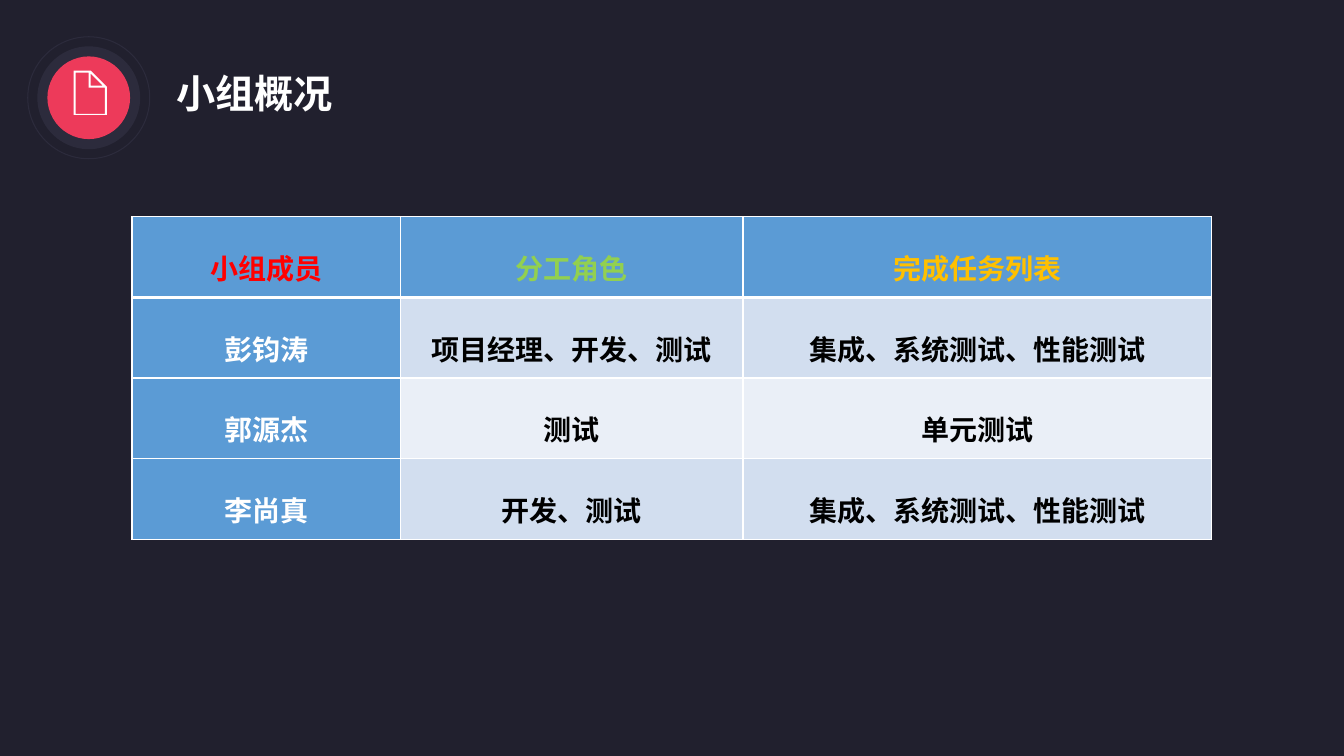
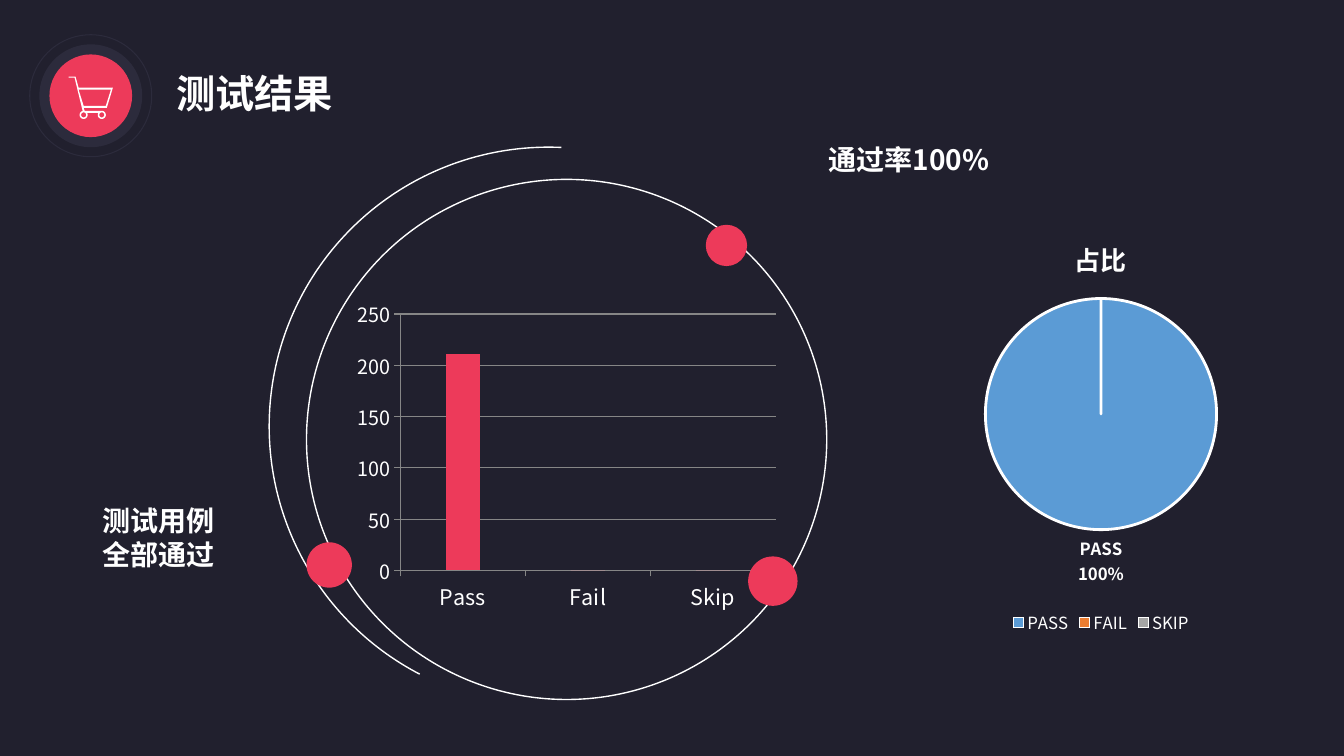
import math

import lxml.etree
import pptx
import pptx.chart.data
import pptx.dml.color
import pptx.enum.chart
import pptx.enum.shapes
import pptx.enum.text
import pptx.oxml
import pptx.oxml.ns
import pptx.util

Inches, Pt = pptx.util.Inches, pptx.util.Pt
qn = pptx.oxml.ns.qn
SHAPES = pptx.enum.shapes.MSO_SHAPE
ALIGN = pptx.enum.text.PP_ALIGN

# Shared look
FONT = "Noto Sans CJK SC"
NIGHT, SLATE, CORAL, WHITE = "21202E", "2C2B3C", "ED3A5A", "FFFFFF"
BLUE, GREY = "5B9BD5", "868686"
BANDS = ["D2DEEF", "EAEFF7"]
BADGE_RINGS = [(1.21, None, SLATE), (1.02, SLATE, None), (0.82, CORAL, None)]

# Content of the team slide
TEAM_TITLE = "小组概况"
TEAM_HEADERS = [("小组成员", "FF0000"), ("分工角色", "92D050"), ("完成任务列表", "FFC000")]
TEAM_ROWS = [
    ("彭钧涛", "项目经理、开发、测试", "集成、系统测试、性能测试"),
    ("郭源杰", "测试", "单元测试"),
    ("李尚真", "开发、测试", "集成、系统测试、性能测试"),
]
TEAM_WIDTHS = [2.66, 3.4, 4.65]
ROW_HEIGHT = 0.8

# Content of the results slide
RESULT_TITLE = "测试结果"
RESULT_NOTES = [("测试用例全部通过", 0.92, 4.95, 1.46, 0.77), ("通过率100%", 8.12, 1.36, 2.26, 0.44)]
CASE_COUNTS = {"Pass": 211, "Fail": 0, "Skip": 0}
SHARE_TITLE = "占比"
SHARES = [("PASS", 100, BLUE), ("FAIL", 0, "ED7D31"), ("SKIP", 0, "A5A5A5")]
ORBIT_DOTS = [(3.04, 5.38, 0.45), (7, 2.23, 0.41), (7.42, 5.52, 0.49)]


def colour(code):
    return pptx.dml.color.RGBColor.from_string(code)


def style_font(font, size, code=WHITE, bold=False):
    font.size, font.bold, font.name = Pt(size), bold, FONT
    font.color.rgb = colour(code)
    lxml.etree.SubElement(font._element, qn("a:ea")).set("typeface", FONT)


def write_text(frame, text, size=20, code=WHITE, bold=True, align=ALIGN.LEFT, spacing=None):
    frame.word_wrap = True
    para = frame.paragraphs[0]
    para.alignment, para.line_spacing = align, spacing
    span = para.add_run()
    span.text = text
    style_font(span.font, size, code, bold)


def add_text(page, text, left, top, width, height, **text_format):
    box = page.shapes.add_textbox(*map(Inches, (left, top, width, height)))
    write_text(box.text_frame, text, **text_format)


def paint(shape, fill=None, line=None, weight=1):
    shape.shadow.inherit = False
    if fill:
        shape.fill.solid()
        shape.fill.fore_color.rgb = colour(fill)
    else:
        shape.fill.background()
    if line:
        shape.line.color.rgb = colour(line)
        shape.line.width = Pt(weight)
    else:
        shape.line.fill.background()


def add_round(page, left, top, size, kind=SHAPES.OVAL, **look):
    shape = page.shapes.add_shape(kind, *map(Inches, (left, top, size, size)))
    paint(shape, **look)
    return shape


def add_icon(page, contours):
    """Draw closed outlines as one white shape; inner outlines are holes."""
    points = [[(Inches(x), Inches(y)) for x, y in contour] for contour in contours]
    builder = page.shapes.build_freeform(*points[0][0])
    for index, contour in enumerate(points):
        if index:
            builder.move_to(*contour[0])
        builder.add_line_segments(contour[1:], close=True)
    paint(builder.convert_to_shape(), fill=WHITE)


def arc_points(centre_x, centre_y, radius, start, end, steps=24):
    angles = [math.radians(start + (end - start) * i / steps) for i in range(steps + 1)]
    return [(centre_x + radius * math.cos(a), centre_y + radius * math.sin(a)) for a in angles]


def document_icon():
    return [
        [(1.06, 0.86), (0.9, 0.7), (0.73, 0.7), (0.73, 1.14), (1.06, 1.14)],
        [(0.9, 0.73), (1.02, 0.85), (0.9, 0.85)],
        [(0.75, 1.13), (0.75, 0.72), (0.88, 0.72), (0.88, 0.87), (1.04, 0.87), (1.04, 1.13)],
    ]


def cart_icon():
    left_wheel, right_wheel = (0.83, 1.14), (1.01, 1.14)
    frame = [(1.12, 0.87), (0.78, 0.87), (0.75, 0.76), (0.68, 0.76), (0.68, 0.77), (0.74, 0.77), (0.82, 1.1)]
    frame += arc_points(*left_wheel, 0.04, -100, -390)
    frame += arc_points(*right_wheel, 0.04, -150, -450)
    frame += [(0.84, 1.1), (0.83, 1.07), (1.06, 1.07)]
    basket = [(0.83, 1.05), (0.78, 0.89), (1.1, 0.89), (1.05, 1.05)]
    return [frame, basket] + [arc_points(*hub, 0.025, 0, 360) for hub in (left_wheel, right_wheel)]


def add_page(deck, title, badge_centre, icon):
    page = deck.slides.add_slide(deck.slide_layouts[6])
    page.background.fill.solid()
    page.background.fill.fore_color.rgb = colour(NIGHT)
    add_text(page, title, 1.65, 0.64, 2.3, 0.57, size=28)
    for size, fill, line in BADGE_RINGS:
        left, top = (middle - size / 2 for middle in badge_centre)
        add_round(page, left, top, size, fill=fill, line=line, weight=0.75)
    add_icon(page, icon)
    return page


def set_borders(cell, top=1, bottom=1):
    properties = cell._tc.get_or_add_tcPr()
    weights = {"a:lnL": 1, "a:lnR": 1, "a:lnT": top, "a:lnB": bottom}
    for index, (tag, weight) in enumerate(weights.items()):
        edge = lxml.etree.Element(qn(tag), w=str(Pt(weight)))
        fill = lxml.etree.SubElement(edge, qn("a:solidFill"))
        lxml.etree.SubElement(fill, qn("a:srgbClr"), val=WHITE)
        properties.insert(index, edge)


def add_team_table(page):
    rows = [[text for text, _ in TEAM_HEADERS], *TEAM_ROWS]
    size = (sum(TEAM_WIDTHS), ROW_HEIGHT * len(rows))
    table = page.shapes.add_table(len(rows), len(TEAM_WIDTHS), *map(Inches, (1.31, 2.15, *size))).table
    for column, width in zip(table.columns, TEAM_WIDTHS):
        column.width = Inches(width)
    for r, row in enumerate(rows):
        table.rows[r].height = Inches(ROW_HEIGHT)
        for c, text in enumerate(row):
            cell = table.cell(r, c)
            cell.margin_left = cell.margin_right = Inches(0.07)
            cell.margin_top = cell.margin_bottom = 0
            cell.vertical_anchor = pptx.enum.text.MSO_ANCHOR.MIDDLE
            cell.fill.solid()
            cell.fill.fore_color.rgb = colour(BLUE if r == 0 or c == 0 else BANDS[(r - 1) % 2])
            code = TEAM_HEADERS[c][1] if r == 0 else WHITE if c == 0 else "000000"
            write_text(cell.text_frame, text, code=code, align=ALIGN.CENTER, spacing=1.5)
            set_borders(cell, top=3 if r == 1 else 1, bottom=3 if r == 0 else 1)


def set_plot_layout(chart, x, y, w, h):
    area = chart._chartSpace.chart.plotArea
    for old in area.findall(qn("c:layout")):
        area.remove(old)
    layout = lxml.etree.Element(qn("c:layout"))
    manual = lxml.etree.SubElement(layout, qn("c:manualLayout"))
    settings = {"layoutTarget": "inner", "xMode": "edge", "yMode": "edge", "x": x, "y": y, "w": w, "h": h}
    for tag, value in settings.items():
        lxml.etree.SubElement(manual, qn("c:" + tag), val=str(value))
    area.insert(0, layout)


def add_chart(page, kind, names, series, left, top, width, height):
    data = pptx.chart.data.CategoryChartData()
    data.categories = names
    for name, values in series:
        data.add_series(name, values)
    return page.shapes.add_chart(kind, *map(Inches, (left, top, width, height)), data).chart


def add_case_chart(page):
    series = [("Series 1", list(CASE_COUNTS.values())), ("Series 2", [0] * len(CASE_COUNTS))]
    kind = pptx.enum.chart.XL_CHART_TYPE.COLUMN_STACKED
    chart = add_chart(page, kind, list(CASE_COUNTS), series, 3.45, 2.89, 4.33, 3.22)
    chart.has_legend = chart.has_title = False
    plot = chart.plots[0]
    plot.gap_width, plot.overlap, plot.vary_by_categories = 264, 100, False
    for bars, code in zip(plot.series, (CORAL, WHITE)):
        bars.format.fill.solid()
        bars.format.fill.fore_color.rgb = colour(code)
    values = chart.value_axis
    values.minimum_scale, values.maximum_scale, values.major_unit = 0, 250, 50
    values.major_gridlines.format.line.color.rgb = colour(GREY)
    for axis, size in ((chart.category_axis, 15.4), (values, 14.1)):
        axis.major_tick_mark = pptx.enum.chart.XL_TICK_MARK.OUTSIDE
        axis.format.line.color.rgb = colour(GREY)
        style_font(axis.tick_labels.font, size)
    set_plot_layout(chart, 0.12, 0.07, 0.86, 0.79)


def add_share_chart(page):
    names, values, codes = zip(*SHARES)
    kind = pptx.enum.chart.XL_CHART_TYPE.PIE
    chart = add_chart(page, kind, names, [(SHARE_TITLE, values)], 8.52, 2.17, 4.8, 4.17)
    chart.has_title = chart.has_legend = True
    write_text(chart.chart_title.text_frame, SHARE_TITLE, size=18.6, align=ALIGN.CENTER)
    chart.legend.position = pptx.enum.chart.XL_LEGEND_POSITION.BOTTOM
    chart.legend.include_in_layout = False
    style_font(chart.legend.font, 12)
    chart.plots[0].vary_by_categories = True
    pie = chart.plots[0].series[0]
    for index, code in enumerate(codes):
        look = pie.points[index].format
        look.fill.solid()
        look.fill.fore_color.rgb = colour(code)
        look.line.color.rgb = colour(WHITE)
        look.line.width = Pt(2)
    # Labels: name above percentage, none on empty slices
    labels = pie.data_labels
    labels.show_category_name = labels.show_percentage = True
    labels.show_value = False
    labels.number_format, labels.number_format_is_linked = "0%", False
    labels.position = pptx.enum.chart.XL_LABEL_POSITION.OUTSIDE_END
    style_font(labels.font, 12, bold=True)
    separator = lxml.etree.Element(qn("c:separator"))
    separator.text = "\n"
    labels._element.find(qn("c:showBubbleSize")).addnext(separator)
    empty = [index for index, value in enumerate(values) if value == 0]
    for position, index in enumerate(empty):
        hidden = lxml.etree.Element(qn("c:dLbl"))
        lxml.etree.SubElement(hidden, qn("c:idx"), val=str(index))
        lxml.etree.SubElement(hidden, qn("c:delete"), val="1")
        labels._element.insert(position, hidden)
    set_plot_layout(chart, 0.26, 0.19, 0.48, 0.55)


def main():
    deck = pptx.Presentation()
    deck.slide_width, deck.slide_height = Inches(13.33), Inches(7.5)

    # Team overview
    page = add_page(deck, TEAM_TITLE, (0.88, 0.97), document_icon())
    add_team_table(page)

    # Test results: column chart inside an orbit, pie chart beside it
    page = add_page(deck, RESULT_TITLE, (0.9, 0.95), cart_icon())
    sweep = add_round(page, 2.67, 1.46, 5.54, kind=SHAPES.ARC, line=WHITE)
    sweep.adjustments[0], sweep.adjustments[1] = 88.47, 181.6
    sweep.rotation = 330
    add_case_chart(page)
    add_round(page, 3.04, 1.78, 5.16, line=WHITE)
    for left, top, size in ORBIT_DOTS:
        add_round(page, left, top, size, fill=CORAL)
    add_share_chart(page)
    for text, *place in RESULT_NOTES:
        add_text(page, text, *place)

    deck.save("out.pptx")


if __name__ == "__main__":
    main()
